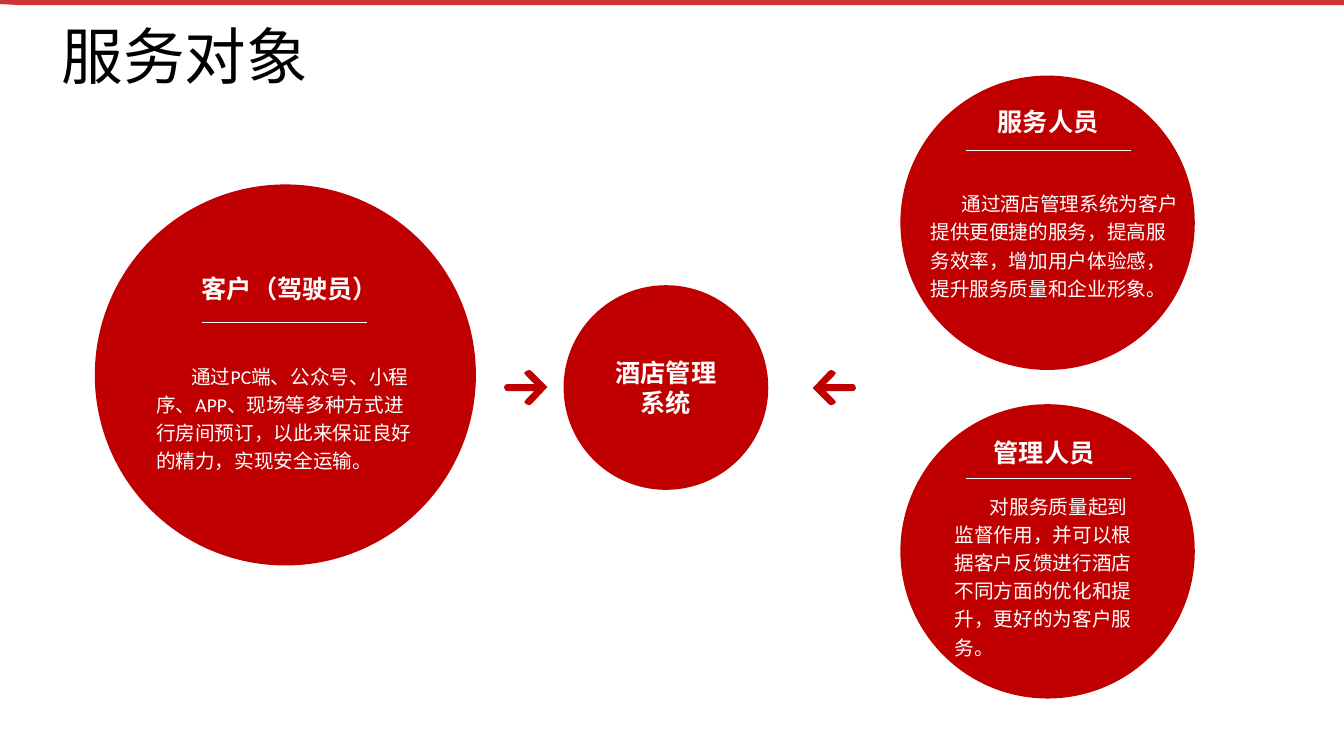
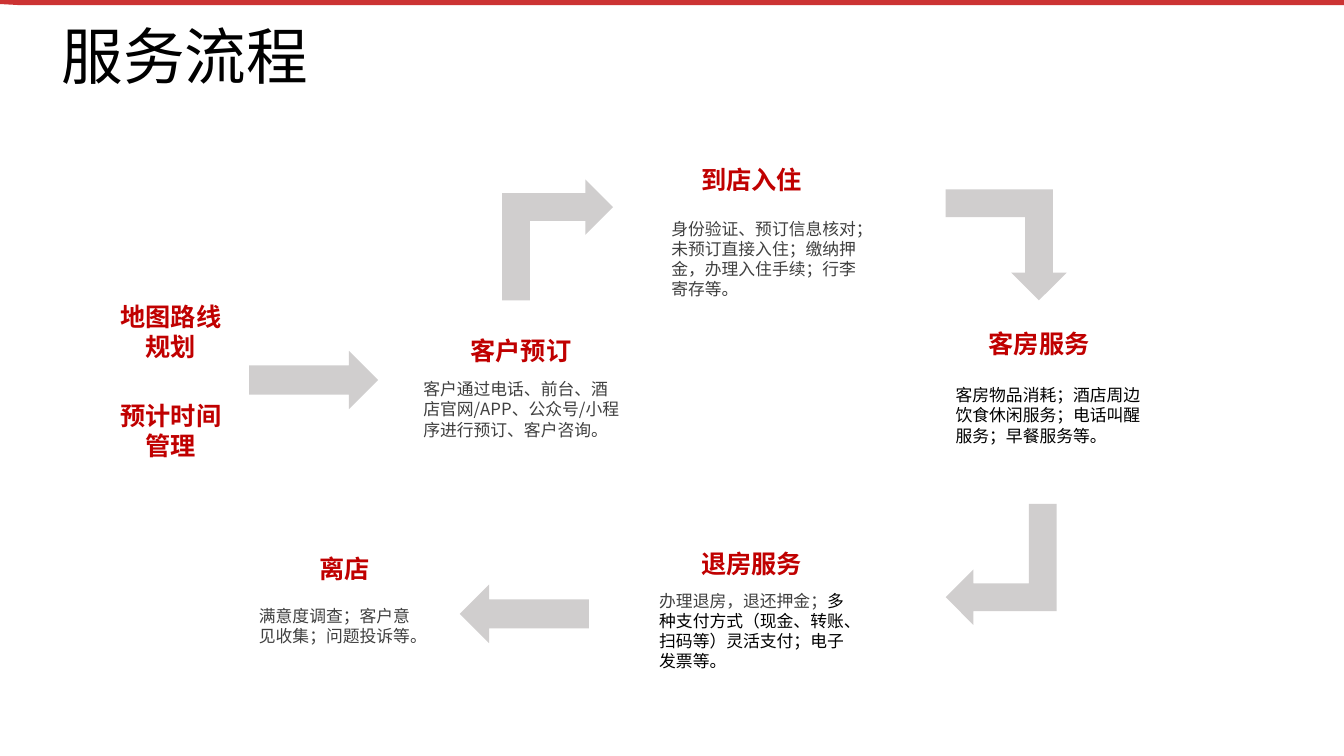
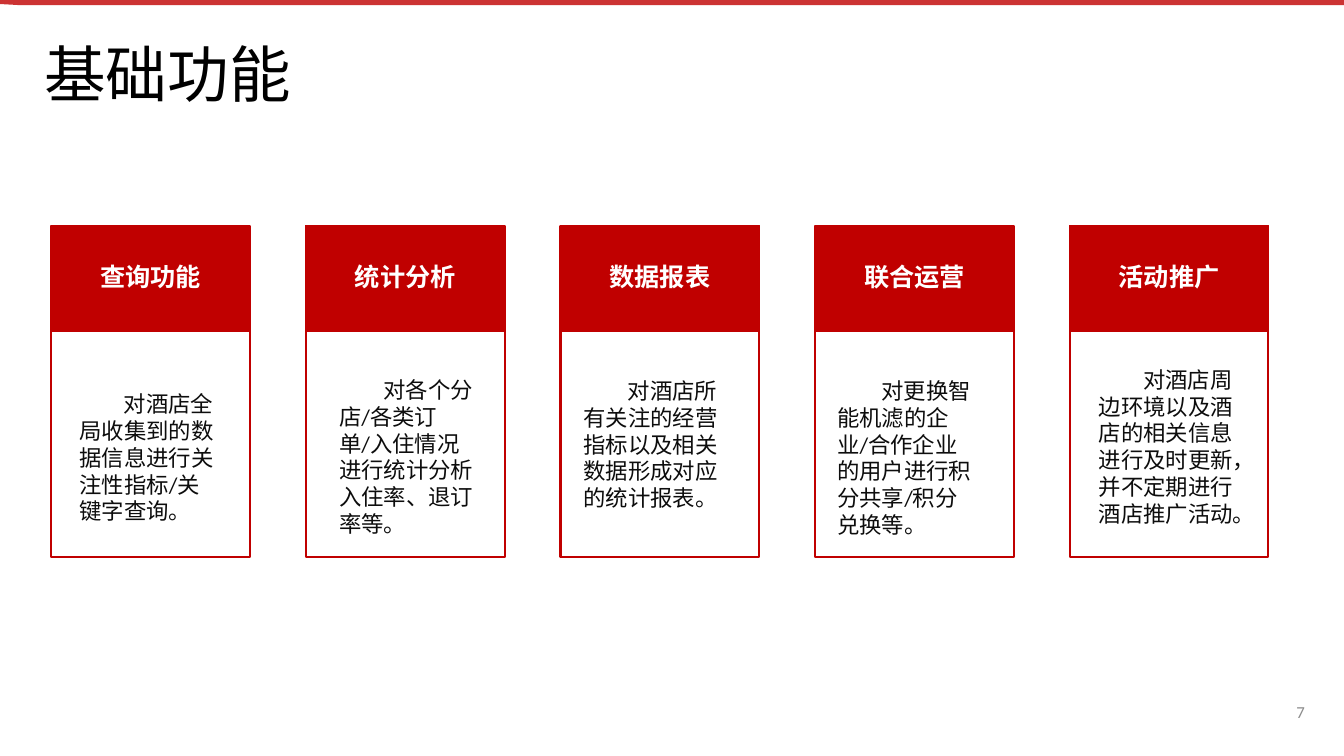
from dataclasses import dataclass

from lxml.etree import SubElement
from pptx import Presentation
from pptx.dml.color import RGBColor
from pptx.enum.shapes import MSO_CONNECTOR, MSO_SHAPE
from pptx.enum.text import MSO_ANCHOR, MSO_AUTO_SIZE, PP_ALIGN
from pptx.oxml.ns import qn
from pptx.util import Inches, Pt


@dataclass(frozen=True)
class Theme:
    red: str = "C00000"
    white: str = "FFFFFF"
    black: str = "000000"
    ink: str = "0D0D0D"
    dark: str = "404040"
    gray: str = "D0CECE"
    pale: str = "8C8C8C"
    title: int = 44
    head: int = 18
    card: int = 16
    body: int = 14
    small: int = 12
    latin: str = "Calibri"
    label: str = "Arial"
    asian: str = "Noto Sans CJK SC"


T = Theme()
WIDE, HIGH = 13.33, 7.5


def inch(*nums):
    return [Inches(n) for n in nums]


def write(frame, runs, size, font=T.latin, bold=False, align=PP_ALIGN.LEFT,
          gap=None, indent=0, anchor=MSO_ANCHOR.TOP):
    """Fill a frame with one paragraph of (words, colour) runs."""
    frame.word_wrap = True
    frame.auto_size = MSO_AUTO_SIZE.NONE
    frame.vertical_anchor = anchor
    para = frame.paragraphs[0]
    para.alignment = align
    if gap:
        para.line_spacing = gap
    if indent:
        para._p.get_or_add_pPr().set("indent", str(Inches(indent)))
    for words, color in runs:
        run = para.add_run()
        run.text = words
        run.font.size = Pt(size)
        run.font.bold = bold
        run.font.color.rgb = RGBColor.from_string(color)
        run.font.name = font
        SubElement(run._r.get_or_add_rPr(), qn("a:ea"), typeface=T.asian)


def add_text(slide, box, runs, size, **style):
    write(slide.shapes.add_textbox(*inch(*box)).text_frame, runs, size, **style)


def paint(shape, fill, line=None, width=0.75):
    shape.shadow.inherit = False
    shape.fill.solid()
    shape.fill.fore_color.rgb = RGBColor.from_string(fill)
    if line:
        shape.line.color.rgb = RGBColor.from_string(line)
        shape.line.width = Pt(width)
    else:
        shape.line.fill.background()
    return shape


def add_form(slide, kind, box, fill, line=None, width=0.75):
    return paint(slide.shapes.add_shape(kind, *inch(*box)), fill, line, width)


def add_path(slide, points, left, top, fill):
    """Draw a closed outline whose points are relative to left, top."""
    spots = [inch(x, y) for x, y in points]
    pen = slide.shapes.build_freeform(*spots[0])
    pen.add_line_segments(spots[1:])
    return paint(pen.convert_to_shape(*inch(left, top)), fill)


def add_rule(slide, left, top, width):
    rule = slide.shapes.add_connector(
        MSO_CONNECTOR.STRAIGHT, *inch(left, top, left + width, top))
    rule.line.color.rgb = RGBColor.from_string(T.white)
    rule.line.width = Pt(0.5)
    SubElement(rule._element.spPr, qn("a:effectLst"))


def add_page(deck, title, left=0.51, top=0.26):
    """Add a slide with the shared top band and title."""
    slide = deck.slides.add_slide(deck.slide_layouts[5])
    band = add_path(slide, [(0, 0), (WIDE, 0), (WIDE, 0.05), (0.18, 0.05),
                            (0, 0.04)], 0, 0, T.red)
    color = band._element.spPr.find(qn("a:solidFill"))[0]
    SubElement(color, qn("a:alpha"), val="80000")
    head = slide.shapes.title
    head.left, head.top, head.width, head.height = inch(left, top, 6.53, 0.66)
    write(head.text_frame, [(title, T.black)], T.title, gap=0.9,
          anchor=MSO_ANCHOR.MIDDLE)
    return slide


def add_disc(slide, left, top, size, name, label, rule, words, body, indent):
    """Draw a circle; label, rule and body offsets are from its corner."""
    add_form(slide, MSO_SHAPE.OVAL, (left, top, size, size), T.red)
    add_rule(slide, left + rule[0], top + rule[1], 1.64)
    add_text(slide, (left + label[0], top + label[1], 2.45, 0.44),
             [(name, T.white)], T.head, bold=True, align=PP_ALIGN.CENTER, gap=1.2)
    x, y, width, height = body
    add_text(slide, (left + x, top + y, width, height), [(words, T.white)],
             T.body, gap=1.2, indent=indent)


def add_mark(slide, left, top, turn):
    """Draw a small arrow with rounded ends."""
    upper = [(0.27, 0.01), (0.25, 0), (0.22, 0.01), (0.2, 0.03), (0.22, 0.06),
             (0.3, 0.14), (0.03, 0.14), (0.01, 0.15)]
    lower = [(x, 0.35 - y) for x, y in reversed(upper)]
    mark = add_path(slide, upper + [(0, 0.17)] + lower + [(0.43, 0.17)],
                    left, top, T.red)
    mark.rotation = turn


def add_step(slide, left, top, name, height=0.4):
    add_text(slide, (left, top, 1.35, height), [(name, T.red)], T.head,
             font=T.asian, bold=True, align=PP_ALIGN.CENTER)


def add_arrow(slide, left, top, turn, bent):
    kind = MSO_SHAPE.BENT_UP_ARROW if bent else MSO_SHAPE.RIGHT_ARROW
    size = (1.2, 1.1) if bent else (1.28, 0.58)
    arrow = add_form(slide, kind, (left, top, *size), T.gray)
    arrow.rotation = turn
    if bent:
        arrow._element.spPr.find(qn("a:xfrm")).set("flipV", "1")


def add_card(slide, left, top, name, words, x, y, width):
    """Draw a headed card; x and y place its words from its corner."""
    add_form(slide, MSO_SHAPE.RECTANGLE, (left, top, 1.97, 3.29), T.white, T.red, 1.5)
    head = add_form(slide, MSO_SHAPE.RECTANGLE, (left, top, 1.97, 1.05), T.red, T.red)
    write(head.text_frame, [(name, T.white)], T.head, font=T.label, bold=True,
          align=PP_ALIGN.CENTER, gap=0.9, anchor=MSO_ANCHOR.MIDDLE)
    add_text(slide, (left + x, top + y, width, 1.72), [(words, T.ink)], T.card,
             indent=0.44)


def add_users(deck):
    slide = add_page(deck, "服务对象")
    add_disc(slide, 0.94, 1.83, 3.78, "客户（驾驶员）", (0.71, 0.77), (1.06, 1.37),
             "通过PC端、公众号、小程序、APP、现场等多种方式进行房间预订，以此来保证良好的精力，实现安全运输。",
             (0.51, 1.69, 2.77, 1.23), 0.35)
    add_disc(slide, 8.93, 0.75, 2.92, "服务人员", (0.24, 0.2), (0.65, 0.74),
             "通过酒店管理系统为客户提供更便捷的服务，提高服务效率，增加用户体验感，提升服务质量和企业形象。",
             (0.2, 1.06, 2.73, 1.23), 0.31)
    add_disc(slide, 8.93, 4.01, 2.92, "管理人员", (0.2, 0.22), (0.65, 0.74),
             "对服务质量起到监督作用，并可以根据客户反馈进行酒店不同方面的优化和提升，更好的为客户服务。",
             (0.44, 0.8, 2.04, 1.8), 0.35)
    core = add_form(slide, MSO_SHAPE.OVAL, (5.59, 2.83, 2.03, 2.03), T.red)
    write(core.text_frame, [("酒店管理系统", T.white)], T.head, font=T.label,
          bold=True, align=PP_ALIGN.CENTER, anchor=MSO_ANCHOR.MIDDLE)
    for left, turn in ((5, 0), (8.06, 180)):
        add_mark(slide, left, 3.67, turn)


def add_flow(deck):
    slide = add_page(deck, "服务流程")
    for top, name in ((2.94, "地图路线规划"), (3.92, "预计时间管理")):
        add_step(slide, 1.02, top, name, 0.71)
    steps = [
        (4.49, 3.28, "客户预订", (4.1, 3.71, 2.16, 0.71),
         [("客户通过电话、前台、酒店官网/APP、公众号/小程序进行预订、客户咨询。", T.dark)]),
        (6.78, 1.58, "到店入住", (6.56, 2.12, 2.16, 0.91),
         [("身份验证、预订信息核对；未预订直接入住；缴纳押金，办理入住手续；行李寄存等。", T.dark)]),
        (9.63, 3.21, "客房服务", (9.38, 3.77, 2.16, 0.71),
         [("客房物品消耗；酒店周边饮食休闲服务；电话叫醒服务；早餐服务等。", T.black)]),
        (6.78, 5.39, "退房服务", (6.44, 5.81, 2.16, 0.91),
         [("办理退房，退还押金；", T.dark),
          ("多种支付方式（现金、转账、扫码等）灵活支付；电子发票等。", T.black)]),
        (2.74, 5.44, "离店", (2.47, 5.96, 1.77, 0.5),
         [("满意度调查；客户意见收集；问题投诉等。", T.dark)]),
    ]
    for left, top, name, box, runs in steps:
        add_step(slide, left, top, name)
        add_text(slide, box, runs, T.small, font=T.asian)
    for arrow in ((2.47, 3.48, 0, False), (4.93, 1.83, 270, True),
                  (9.38, 1.88, 0, True), (9.33, 5.05, 90, True),
                  (4.56, 5.8, 180, False)):
        add_arrow(slide, *arrow)


def add_tools(deck):
    slide = add_page(deck, "基础功能", 0.34, 0.44)
    cards = [
        ("查询功能", "对酒店全局收集到的数据信息进行关注性指标/关键字查询。", 0.18, 1.58, 1.58),
        ("统计分析", "对各个分店/各类订单/入住情况进行统计分析入住率、退订率等。", 0.23, 1.44, 1.59),
        ("数据报表", "对酒店所有关注的经营指标以及相关数据形成对应的统计报表。", 0.13, 1.45, 1.54),
        ("联合运营", "对更换智能机滤的企业/合作企业的用户进行积分共享/积分兑换等。", 0.12, 1.45, 1.58),
        ("活动推广", "对酒店周边环境以及酒店的相关信息进行及时更新，并不定期进行酒店推广活动。",
         0.19, 1.34, 1.58),
    ]
    first, last = 0.51, 10.61
    step = (last - first) / (len(cards) - 1)
    for i, card in enumerate(cards):
        add_card(slide, first + i * step, 2.24, *card)
    add_text(slide, (10.04, 6.86, 3, 0.4), [("7", T.pale)], T.small,
             align=PP_ALIGN.RIGHT, anchor=MSO_ANCHOR.MIDDLE)


def main():
    deck = Presentation()
    deck.slide_width, deck.slide_height = inch(WIDE, HIGH)
    for build in (add_users, add_flow, add_tools):
        build(deck)
    deck.save("out.pptx")


if __name__ == "__main__":
    main()
